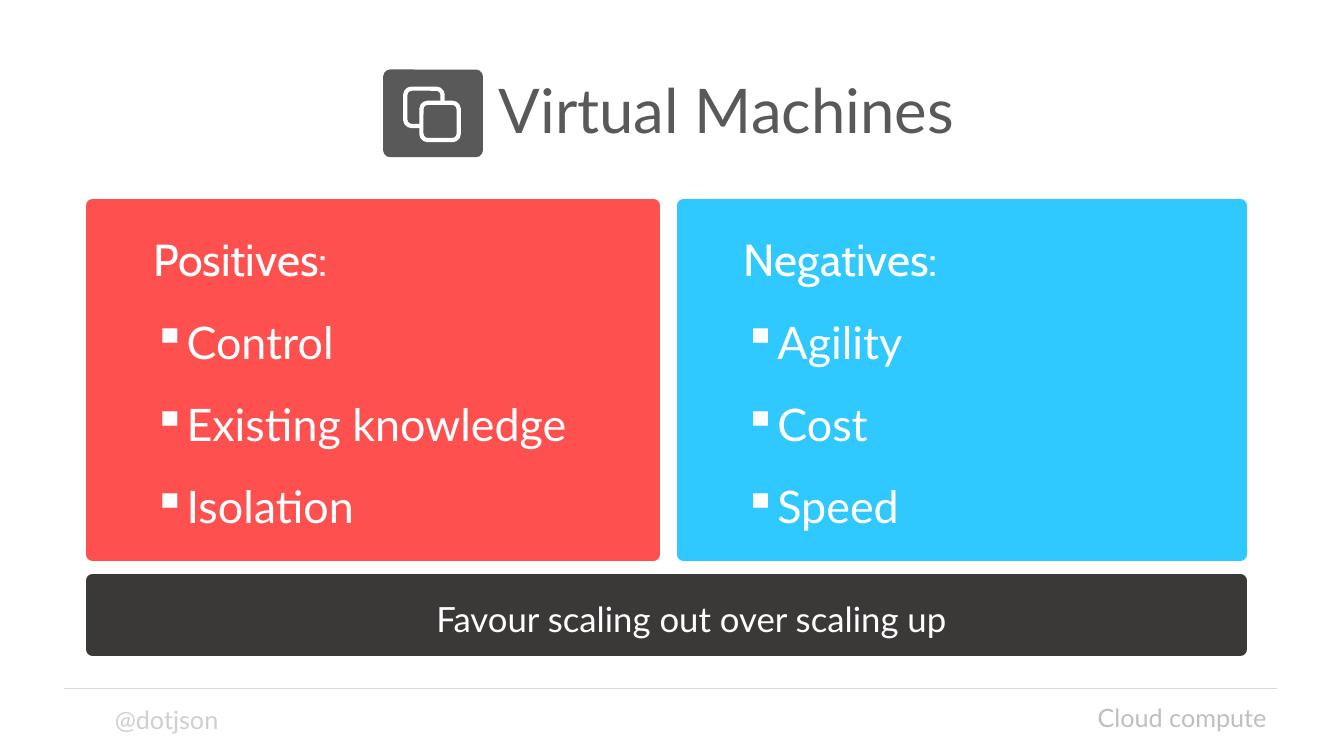
"""Build a slide on the positives and negatives of virtual machines."""
from lxml import etree
from pptx import Presentation
from pptx.dml.color import RGBColor
from pptx.enum.shapes import MSO_CONNECTOR, MSO_SHAPE
from pptx.enum.text import MSO_ANCHOR, PP_ALIGN
from pptx.oxml.ns import qn
from pptx.util import Inches, Pt

RECT, ROUND = MSO_SHAPE.RECTANGLE, MSO_SHAPE.ROUNDED_RECTANGLE
LEFT, CENTER, RIGHT = PP_ALIGN.LEFT, PP_ALIGN.CENTER, PP_ALIGN.RIGHT
TOP, MIDDLE = MSO_ANCHOR.TOP, MSO_ANCHOR.MIDDLE
STRAIGHT = MSO_CONNECTOR.STRAIGHT

WHITE = RGBColor(0xFF, 0xFF, 0xFF)
RED = RGBColor(0xFF, 0x50, 0x50)
BLUE = RGBColor(0x2F, 0xC9, 0xFF)
DARK = RGBColor(0x3B, 0x38, 0x38)
GREY = RGBColor(0x59, 0x59, 0x59)
SILVER = RGBColor(0xBF, 0xBF, 0xBF)
PALE = RGBColor(0xD0, 0xCE, 0xCE)
RULE = RGBColor(0xD9, 0xD9, 0xD9)

PANELS = [
    ("Positives:", ["Control", "Existing knowledge", "Isolation"],
     (0.92, 2.04, 5.56, 3.46), RED),
    ("Negatives:", ["Agility", "Cost", "Speed"],
     (6.78, 2.04, 5.52, 3.46), BLUE),
]
BANNER = ("Favour scaling out over scaling up", (0.92, 5.76, 11.38, 0.68))
LABELS = [
    ("@dotjson", (1.04, 6.94, 2.13, 0.4), 18, PALE, LEFT, TOP),
    ("Virtual Machines", (1.99, 0.4, 10.43, 1.45), 44, GREY, CENTER, MIDDLE),
    ("Cloud compute", (9.08, 6.92, 3.58, 0.4), 18, SILVER, RIGHT, TOP),
]
ICON = [
    ((3.8, 0.69, 0.99, 0.87), 0.08, GREY, None, 0),
    ((4.02, 0.88, 0.37, 0.37), 0.17, None, WHITE, 3),
    ((4.18, 1.02, 0.37, 0.37), 0.17, GREY, WHITE, 3),
]


def add_box(slide, kind, box, fill, line, width):
    shape = slide.shapes.add_shape(kind, *map(Inches, box))
    shape.shadow.inherit = False
    if fill is None:
        shape.fill.background()
    else:
        shape.fill.solid()
        shape.fill.fore_color.rgb = fill
    if line is None:
        shape.line.fill.background()
    else:
        shape.line.color.rgb = line
        shape.line.width = Pt(width)
    return shape


def set_text(para, text, size, color, align, face="Lato"):
    para.text = text
    para.alignment = align
    font = para.font
    font.name, font.size = face, Pt(size)
    font.color.rgb = color


def indent(para, left, first=0, bullet=None):
    props = para._p.get_or_add_pPr()
    props.set("marL", str(Inches(left)))
    props.set("indent", str(Inches(first)))
    if bullet:
        tint = etree.SubElement(props, qn("a:buClr"))
        etree.SubElement(tint, qn("a:srgbClr"), val=str(WHITE))
        etree.SubElement(props, qn("a:buChar"), char=bullet)


def add_panel(slide, box, color):
    frame = add_box(slide, RECT, box, color, color, 10).text_frame
    frame.word_wrap = True
    frame.vertical_anchor = TOP
    return frame


def add_list(slide, head, items, box, color):
    frame = add_panel(slide, box, color)
    first = frame.paragraphs[0]
    first.line_spacing = 1.4
    indent(first, 0.5)
    set_text(first, head, 32, WHITE, LEFT, "Cabin")
    for item in items:
        para = frame.add_paragraph()
        para.line_spacing = 1.4
        para.space_before = Pt(5)
        indent(para, 0.75, -0.25, "▪")
        set_text(para, item, 32, WHITE, LEFT)


def add_label(slide, text, box, size, color, align, anchor):
    frame = slide.shapes.add_textbox(*map(Inches, box)).text_frame
    frame.word_wrap = True
    frame.vertical_anchor = anchor
    para = frame.paragraphs[0]
    if anchor == MIDDLE:
        para.line_spacing = 0.9
    set_text(para, text, size, color, align)


def main():
    deck = Presentation()
    deck.slide_width, deck.slide_height = Inches(13.33), Inches(7.5)
    slide = deck.slides.add_slide(deck.slide_layouts[6])

    rule = slide.shapes.add_connector(
        STRAIGHT, *map(Inches, (0.63, 6.83, 12.67, 6.83)))
    rule.line.color.rgb = RULE
    rule.line.width = Pt(1)
    etree.SubElement(rule._element.spPr, qn("a:effectLst"))

    for panel in PANELS:
        add_list(slide, *panel)

    text, box = BANNER
    para = add_panel(slide, box, DARK).paragraphs[0]
    para.line_spacing = 1.3
    indent(para, 0.5)
    set_text(para, text, 24.8, WHITE, CENTER)

    for label in LABELS:
        add_label(slide, *label)
    for box, curve, fill, line, width in ICON:
        tile = add_box(slide, ROUND, box, fill, line, width)
        tile.adjustments[0] = curve

    deck.save("out.pptx")


if __name__ == "__main__":
    main()
